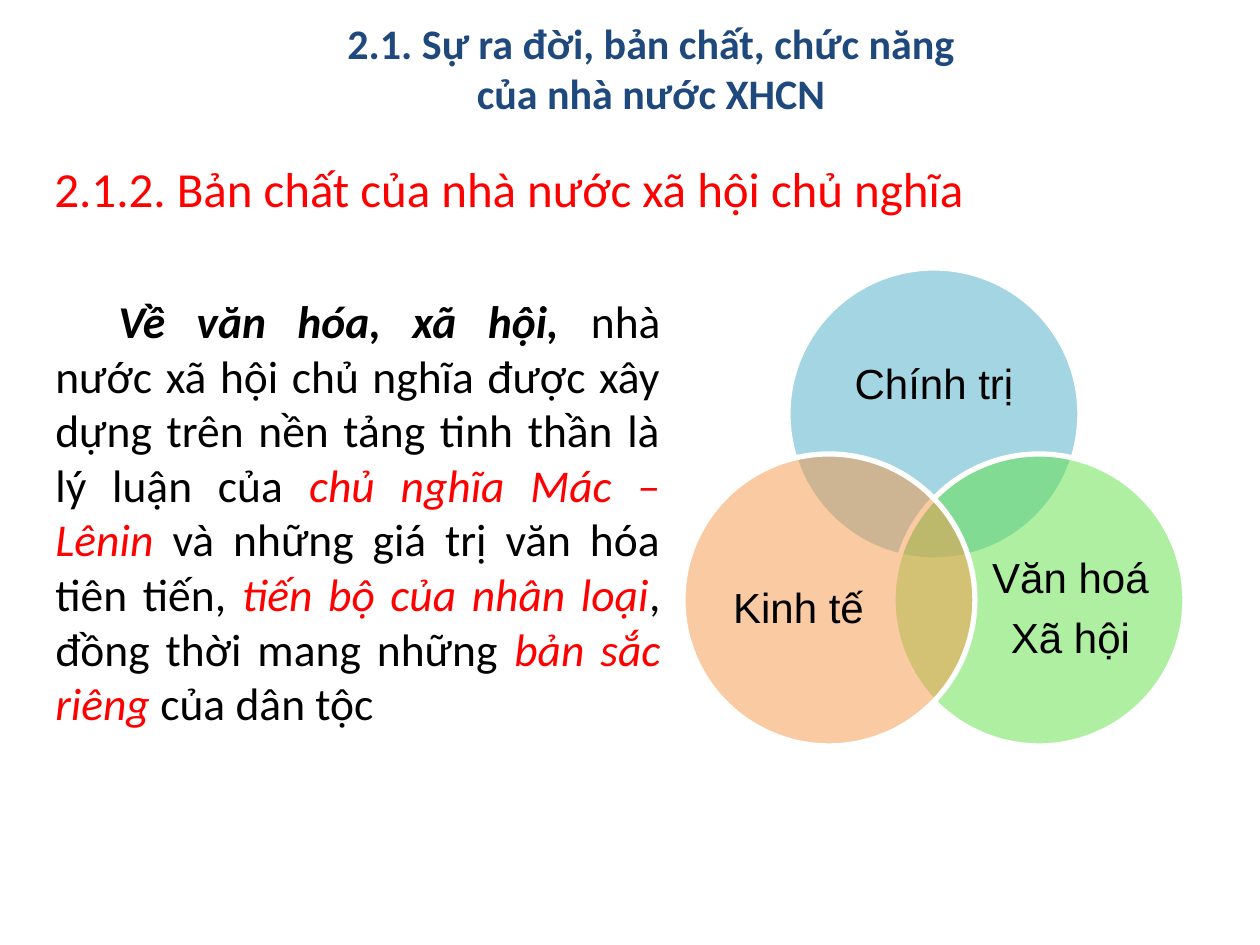
from lxml.etree import SubElement
from pptx import Presentation
from pptx.dml.color import RGBColor
from pptx.enum.shapes import MSO_SHAPE as Shape
from pptx.enum.text import MSO_ANCHOR as Anchor, PP_ALIGN as Align
from pptx.oxml.ns import qn
from pptx.util import Emu, Pt

PX = 914400 / 126
COLORS = {
    "title": "1F497D", "accent": "FF0000", "text": "000000", "outline": "FFFFFF",
    "politics": "4BACC6", "culture": "60E146", "economy": "F79646",
}
DIAMETER = 292


def px(value):
    return Emu(round(value * PX))


def rgb(name):
    return RGBColor.from_string(COLORS[name])


def add_box(slide, left, top, width, height, inset=True):
    box = slide.shapes.add_textbox(px(left), px(top), px(width), px(height))
    frame = box.text_frame
    frame.word_wrap = True
    if not inset:
        frame.margin_left = frame.margin_right = 0
        frame.margin_top = frame.margin_bottom = 0
        frame.vertical_anchor = Anchor.MIDDLE
    return frame


def add_run(paragraph, text, size, color="text", font="Calibri", bold=False, italic=False):
    run = paragraph.add_run()
    run.text = text
    run.font.name = font
    run.font.size = Pt(size)
    run.font.bold = bold
    run.font.italic = italic
    run.font.color.rgb = rgb(color)


def add_circle(slide, left, top, color):
    circle = slide.shapes.add_shape(
        Shape.OVAL, px(left), px(top), px(DIAMETER), px(DIAMETER))
    circle.shadow.inherit = False
    circle.fill.solid()
    circle.fill.fore_color.rgb = rgb(color)
    fill_color = circle.fill._xPr.find(qn("a:solidFill"))[0]
    SubElement(fill_color, qn("a:alpha"), val="50000")
    circle.line.color.rgb = rgb("outline")
    circle.line.width = Pt(3)


def add_label(slide, area, lines):
    frame = add_box(slide, *area, inset=False)
    for index, line in enumerate(lines):
        paragraph = frame.paragraphs[0] if index == 0 else frame.add_paragraph()
        paragraph.alignment = Align.CENTER
        paragraph.line_spacing = 0.9
        paragraph.space_after = Pt(8.4)
        add_run(paragraph, line, 24, font="Arial")


def add_venn(slide):
    # Two lower circles sit symmetrically about the upper one
    left, top, shift, drop = 788, 268, 105, 186
    circles = [
        ("politics", left, top, (827, 320, 214, 132), ["Chính trị"]),
        ("culture", left + shift, top + drop, (983, 529, 175, 161), ["Văn hoá", "Xã hội"]),
        ("economy", left - shift, top + drop, (711, 529, 175, 161), ["Kinh tế"]),
    ]
    for color, x, y, label_area, lines in circles:
        add_circle(slide, x, y, color)
        add_label(slide, label_area, lines)


def add_headings(slide):
    title = add_box(slide, 315, 11, 672, 115).paragraphs[0]
    title.alignment = Align.CENTER
    add_run(title, "2.1. Sự ra đời, bản chất, chức năng của nhà nước XHCN",
            24, "title", bold=True)

    section = add_box(slide, 42, 152, 1071, 72).paragraphs[0]
    section.alignment = Align.JUSTIFY
    add_run(section, "2.1.2. Bản chất của nhà nước xã hội chủ nghĩa", 28, "accent")


def add_body(slide):
    body = add_box(slide, 43, 287, 630, 509).paragraphs[0]
    body.alignment = Align.JUSTIFY
    body._p.get_or_add_pPr().set("indent", str(px(63)))
    add_run(body, "Về văn hóa, xã hội, ", 26, bold=True, italic=True)
    passages = [
        ("nhà nước xã hội chủ nghĩa được xây dựng trên nền tảng tinh thần là lý luận của ", False),
        ("chủ nghĩa Mác – Lênin ", True),
        ("và những giá trị văn hóa tiên tiến, ", False),
        ("tiến bộ của nhân loại", True),
        (", đồng thời mang những ", False),
        ("bản sắc riêng", True),
        (" của dân tộc", False),
    ]
    for text, stressed in passages:
        add_run(body, text, 26, "accent" if stressed else "text", italic=stressed)


def main():
    deck = Presentation()
    deck.slide_width, deck.slide_height = px(1260), px(945)
    slide = deck.slides.add_slide(deck.slide_layouts[6])
    add_headings(slide)
    add_venn(slide)
    add_body(slide)
    deck.save("out.pptx")


if __name__ == "__main__":
    main()
